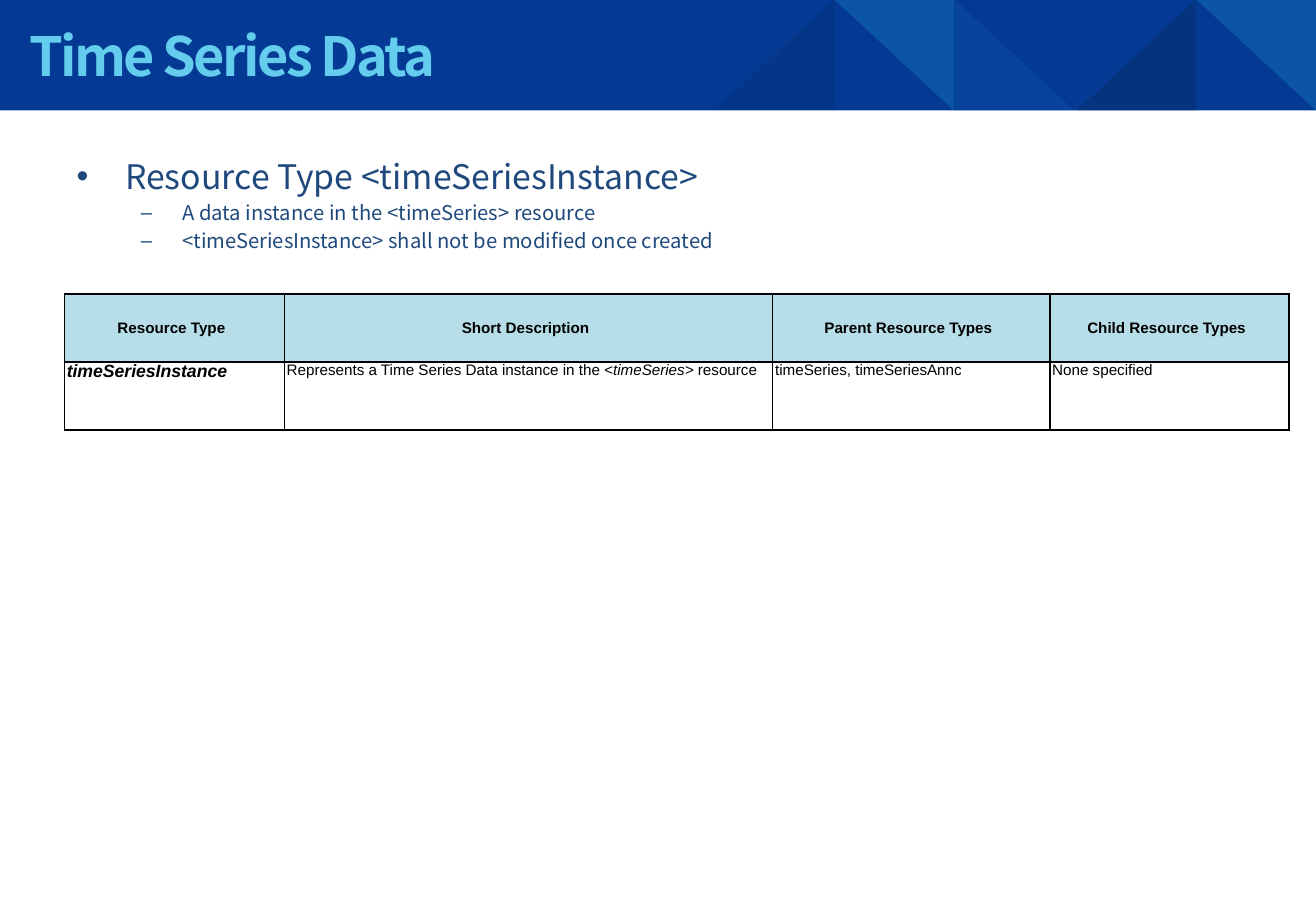
"""Builds the slide on the timeSeriesInstance resource type."""
import pptx
import pptx.dml.color
import pptx.enum.shapes
import pptx.enum.text
import pptx.oxml
import pptx.oxml.ns
import pptx.util

RGBColor = pptx.dml.color.RGBColor
Inches = pptx.util.Inches
Pt = pptx.util.Pt
PP_ALIGN = pptx.enum.text.PP_ALIGN
MSO_ANCHOR = pptx.enum.text.MSO_ANCHOR
MSO_SHAPE = pptx.enum.shapes.MSO_SHAPE
qn = pptx.oxml.ns.qn

BLACK = RGBColor(0x00, 0x00, 0x00)
BAND_BLUE = RGBColor(0x04, 0x3A, 0x94)
CYAN = RGBColor(0x2E, 0xBD, 0xE9)
NIGHT = RGBColor(0x0A, 0x18, 0x28)
MID_BLUE = RGBColor(0x1B, 0x70, 0xBD)
TITLE_CYAN = RGBColor(0x64, 0xCD, 0xEE)
TEXT_BLUE = RGBColor(0x1F, 0x49, 0x7D)
HEADER_FILL = RGBColor(0xB7, 0xDE, 0xE8)

HEADING = "Noto Sans CJK KR"
WIDTH, BAND_HEIGHT, FACET_WIDTH = 10.83, 0.91, 0.98

FACETS = [
    (9.85, 0, FACET_WIDTH, BAND_HEIGHT, 180, 0, CYAN, 20),
    (8.86, 0, FACET_WIDTH, BAND_HEIGHT, 0, 1, NIGHT, 20),
    (7.86, 0, FACET_WIDTH, BAND_HEIGHT, 0, 0, MID_BLUE, 20),
    (6.87, 0, FACET_WIDTH, BAND_HEIGHT, 180, 0, CYAN, 20),
    (5.92, -0.04, BAND_HEIGHT, FACET_WIDTH, 270, 0, NIGHT, 10),
]
POINTS = [
    (0, "Resource Type <timeSeriesInstance>"),
    (1, "A data instance in the <timeSeries> resource"),
    (1, "<timeSeriesInstance> shall not be modified once created"),
]
LEVELS = [(20, 0.4, -0.4), (12, 0.87, -0.34)]

HEAD = {"name": "Arial", "size": Pt(9), "bold": True, "italic": False}
PLAIN = {**HEAD, "bold": False}
ITALIC = {**PLAIN, "italic": True}
RESOURCE = {**HEAD, "size": Pt(10.5), "italic": True}
COLUMNS = [1.81, 4.02, 2.28, 1.97]
HEADERS = ["Resource Type", "Short Description", "Parent Resource Types", "Child Resource Types"]
ROWS = [
    [[(header, HEAD)] for header in HEADERS],
    [
        [("timeSeriesInstance", RESOURCE)],
        [
            ("Represents a Time Series Data instance in the ", PLAIN),
            ("<timeSeries>", ITALIC),
            (" resource", PLAIN),
        ],
        [("timeSeries, timeSeriesAnnc", PLAIN)],
        [("None specified", PLAIN)],
    ],
]


class ResourceSlide:
    def __init__(self, deck):
        self.slide = deck.slides.add_slide(deck.slide_layouts[1])
        self.shapes = self.slide.shapes

    def apply(self, target, values):
        for name, value in values.items():
            setattr(target, name, value)

    def add_words(self, paragraph, text, style, color):
        run = paragraph.add_run()
        run.text = text
        self.apply(run.font, style)
        run.font.color.rgb = color
        return run

    def block(self, kind, box, color):
        block = self.shapes.add_shape(kind, *map(Inches, box))
        block.shadow.inherit = False
        block.fill.solid()
        block.fill.fore_color.rgb = color
        block.line.fill.background()
        return block

    def facet(self, left, top, width, height, rotation, apex, color, opacity):
        facet = self.block(MSO_SHAPE.ISOSCELES_TRIANGLE, (left, top, width, height), color)
        facet.rotation = rotation
        facet.adjustments[0] = apex
        tint = facet.element.spPr.find(qn("a:solidFill"))[0]
        tint.append(tint.makeelement(qn("a:alpha"), {"val": str(opacity * 1000)}))

    def place(self, placeholder, box, anchor):
        sides = ("left", "top", "width", "height")
        self.apply(placeholder, dict(zip(sides, map(Inches, box))))
        frame = placeholder.text_frame
        self.apply(frame, {
            "word_wrap": True,
            "auto_size": pptx.enum.text.MSO_AUTO_SIZE.NONE,
            "vertical_anchor": anchor,
        })
        self.shapes.element.append(placeholder.element)
        return frame

    def title(self, text, box):
        heading = self.place(self.shapes.title, box, MSO_ANCHOR.MIDDLE).paragraphs[0]
        heading.alignment = PP_ALIGN.LEFT
        style = {"name": HEADING, "size": Pt(32), "bold": True}
        run = self.add_words(heading, text, style, TITLE_CYAN)
        run._r.get_or_add_rPr().set("spc", "-150")

    def bullets(self, points, box):
        frame = self.place(self.slide.placeholders[1], box, MSO_ANCHOR.TOP)
        for index, (level, text) in enumerate(points):
            point = frame.add_paragraph() if index else frame.paragraphs[0]
            point.level = level
            size, margin, indent = LEVELS[level]
            self.add_words(point, text, {"name": HEADING, "size": Pt(size)}, TEXT_BLUE)
            properties = point._p.get_or_add_pPr()
            properties.set("marL", str(Inches(margin)))
            properties.set("indent", str(Inches(indent)))

    def border(self, cell):
        properties = cell._tc.get_or_add_tcPr()
        for index, side in enumerate("LRTB"):
            edge = pptx.oxml.parse_xml(
                f'<a:ln{side} xmlns:a="http://schemas.openxmlformats.org/drawingml/2006/main"'
                f' w="{Pt(1)}"><a:solidFill><a:srgbClr val="{BLACK}"/></a:solidFill></a:ln{side}>'
            )
            properties.insert(index, edge)

    def table(self, rows, left, top, row_height):
        box = (left, top, sum(COLUMNS), row_height * len(rows))
        resources = self.shapes.add_table(len(rows), len(COLUMNS), *map(Inches, box)).table
        self.apply(resources, {"first_row": False, "horz_banding": False})
        for column, width in zip(resources.columns, COLUMNS):
            column.width = Inches(width)
        for row_index, row in enumerate(rows):
            is_header = row_index == 0
            for column_index, runs in enumerate(row):
                cell = resources.cell(row_index, column_index)
                self.apply(cell, {
                    "margin_left": Inches(0.02),
                    "margin_right": Inches(0.07),
                    "margin_top": 0,
                    "margin_bottom": 0,
                    "vertical_anchor": MSO_ANCHOR.MIDDLE if is_header else MSO_ANCHOR.TOP,
                })
                if is_header:
                    cell.fill.solid()
                    cell.fill.fore_color.rgb = HEADER_FILL
                else:
                    cell.fill.background()
                self.border(cell)
                line = cell.text_frame.paragraphs[0]
                line.alignment = PP_ALIGN.CENTER if is_header else PP_ALIGN.LEFT
                for text, style in runs:
                    self.add_words(line, text, style, BLACK)


def main():
    deck = pptx.Presentation()
    deck.slide_width, deck.slide_height = Inches(WIDTH), Inches(7.5)
    page = ResourceSlide(deck)
    page.block(MSO_SHAPE.RECTANGLE, (0, 0, WIDTH, BAND_HEIGHT), BAND_BLUE)
    for facet in FACETS:
        page.facet(*facet)
    page.title("Time Series Data", (0.14, 0.13, 9.48, 0.64))
    page.bullets(POINTS, (0.53, 1.23, 9.76, 1.73))
    page.table(ROWS, 0.53, 2.42, 0.56)
    deck.save("out.pptx")


if __name__ == "__main__":
    main()
